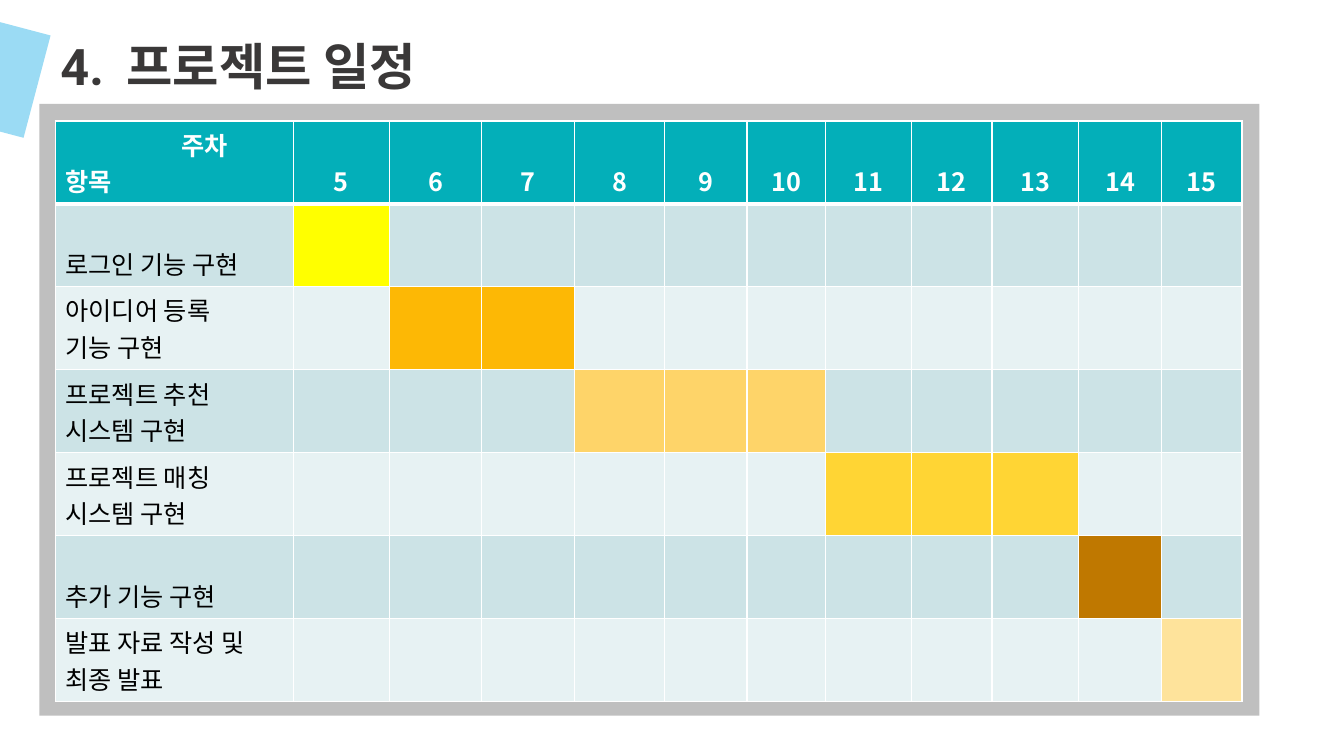
"""Build the project schedule slide with a weekly Gantt table."""
from dataclasses import dataclass

from lxml import etree
from pptx import Presentation
from pptx.dml.color import RGBColor
from pptx.enum.shapes import MSO_SHAPE
from pptx.enum.text import MSO_ANCHOR, MSO_AUTO_SIZE, PP_ALIGN
from pptx.oxml.ns import qn
from pptx.util import Pt

PX = 9144
RECT = MSO_SHAPE.RECTANGLE
BOTTOM, MIDDLE = MSO_ANCHOR.BOTTOM, MSO_ANCHOR.MIDDLE
LEFT, CENTER = PP_ALIGN.LEFT, PP_ALIGN.CENTER
NO_FIT = MSO_AUTO_SIZE.NONE
TITLE_ONLY = 5


@dataclass(frozen=True)
class Theme:
    title: str = "3A3838"
    accent: str = "9BDBF4"
    panel: str = "BFBFBF"
    header: str = "03AFB9"
    bands: tuple[str, str] = ("CCE3E6", "E7F2F3")
    white: str = "FFFFFF"
    black: str = "000000"
    title_font: str = "Roboto"
    title_asian: str = "Noto Sans CJK KR"
    table_font: str = "Noto Sans CJK JP"
    title_size: int = 36
    table_size: int = 18
    title_gap: int = 7
    thin: int = 1
    thick: int = 3


@dataclass(frozen=True)
class Block:
    left: int
    top: int
    width: int
    height: int
    color: str
    rotation: float = 0


@dataclass(frozen=True)
class Task:
    lines: tuple[str, ...]
    start: int
    end: int
    color: str


THEME = Theme()
BLOCKS = [
    Block(-36, 24, 74, 105, THEME.accent, 14.8),
    Block(39, 103, 1210, 607, THEME.panel),
]
WEEKS = range(5, 16)
COLUMNS = [236, 95, 92, 92, 89, 82, 78, 85, 80, 86, 82, 80]
ROW_HEIGHT = 82
WEEK_INDENT = 115
TASKS = [
    Task(("로그인 기능 구현",), 5, 5, "FFFF00"),
    Task(("아이디어 등록", "기능 구현"), 6, 7, "FDB805"),
    Task(("프로젝트 추천", "시스템 구현"), 8, 10, "FED469"),
    Task(("프로젝트 매칭", "시스템 구현"), 11, 13, "FFD534"),
    Task(("추가 기능 구현",), 14, 14, "BF7800"),
    Task(("발표 자료 작성 및", "최종 발표"), 15, 15, "FEE39B"),
]


def add_run(p, text: str, size: int, color: str, bold: bool, latin: str, asian: str):
    r = p.add_run()
    r.text = text
    r.font.size = Pt(size)
    r.font.bold = bold
    r.font.color.rgb = RGBColor.from_string(color)
    r.font.name = latin
    etree.SubElement(r.font._element, qn("a:ea"), typeface=asian)
    return r


def add_title(slide) -> None:
    sp = slide.shapes.title
    sp.left, sp.top, sp.width, sp.height = 50 * PX, 29 * PX, 385 * PX, 71 * PX
    tf = sp.text_frame
    tf.auto_size = NO_FIT
    tf.word_wrap = False
    tf.vertical_anchor = MIDDLE
    p = tf.paragraphs[0]
    p.alignment = LEFT
    runs = [
        add_run(p, text, THEME.title_size, THEME.title, True,
                THEME.title_font, THEME.title_asian)
        for text in ("4.", " ", "프로젝트 일정")
    ]
    runs[1].font._element.set("spc", str(THEME.title_gap * 100))


def add_block(slide, block: Block) -> None:
    sp = slide.shapes.add_shape(RECT, block.left * PX, block.top * PX,
                                block.width * PX, block.height * PX)
    sp.rotation = block.rotation
    sp.shadow.inherit = False
    sp.fill.solid()
    sp.fill.fore_color.rgb = RGBColor.from_string(block.color)
    sp.line.fill.background()


def style_cell(cell, color: str, top: int, bottom: int) -> None:
    cell.vertical_anchor = BOTTOM
    tc_pr = cell._tc.get_or_add_tcPr()
    sides = {"L": THEME.thin, "R": THEME.thin, "T": top, "B": bottom}
    for side, width in sides.items():
        ln = etree.SubElement(tc_pr, qn(f"a:ln{side}"), w=str(Pt(width)))
        fill = etree.SubElement(ln, qn("a:solidFill"))
        etree.SubElement(fill, qn("a:srgbClr"), val=THEME.white)
    cell.fill.solid()
    cell.fill.fore_color.rgb = RGBColor.from_string(color)


def write_cell(cell, lines: tuple[str, ...], color: str, bold: bool, align=LEFT) -> None:
    tf = cell.text_frame
    for i, text in enumerate(lines):
        p = tf.add_paragraph() if i else tf.paragraphs[0]
        p.alignment = align
        add_run(p, text, THEME.table_size, color, bold,
                THEME.table_font, THEME.table_font)


def add_schedule(slide) -> None:
    rows = len(TASKS) + 1
    frame = slide.shapes.add_table(rows, len(COLUMNS), 55 * PX, 120 * PX,
                                   sum(COLUMNS) * PX, rows * ROW_HEIGHT * PX)
    table = frame.table
    for column, width in zip(table.columns, COLUMNS):
        column.width = width * PX
    for row in table.rows:
        row.height = ROW_HEIGHT * PX

    for cell in table.rows[0].cells:
        style_cell(cell, THEME.header, THEME.thin, THEME.thick)
    corner = table.cell(0, 0)
    write_cell(corner, ("주차", "항목"), THEME.white, True)
    p_pr = corner.text_frame.paragraphs[0]._p.get_or_add_pPr()
    p_pr.set("marL", str(WEEK_INDENT * PX))
    for col, week in enumerate(WEEKS, 1):
        write_cell(table.cell(0, col), (str(week),), THEME.white, True, CENTER)

    for row, task in enumerate(TASKS, 1):
        band = THEME.bands[(row - 1) % 2]
        top = THEME.thick if row == 1 else THEME.thin
        style_cell(table.cell(row, 0), band, top, THEME.thin)
        write_cell(table.cell(row, 0), task.lines, THEME.black, False)
        for col, week in enumerate(WEEKS, 1):
            color = task.color if task.start <= week <= task.end else band
            style_cell(table.cell(row, col), color, top, THEME.thin)


def main() -> None:
    prs = Presentation()
    prs.slide_width, prs.slide_height = 1333 * PX, 750 * PX
    slide = prs.slides.add_slide(prs.slide_layouts[TITLE_ONLY])
    add_title(slide)
    for block in BLOCKS:
        add_block(slide, block)
    add_schedule(slide)
    prs.save("out.pptx")


if __name__ == "__main__":
    main()
